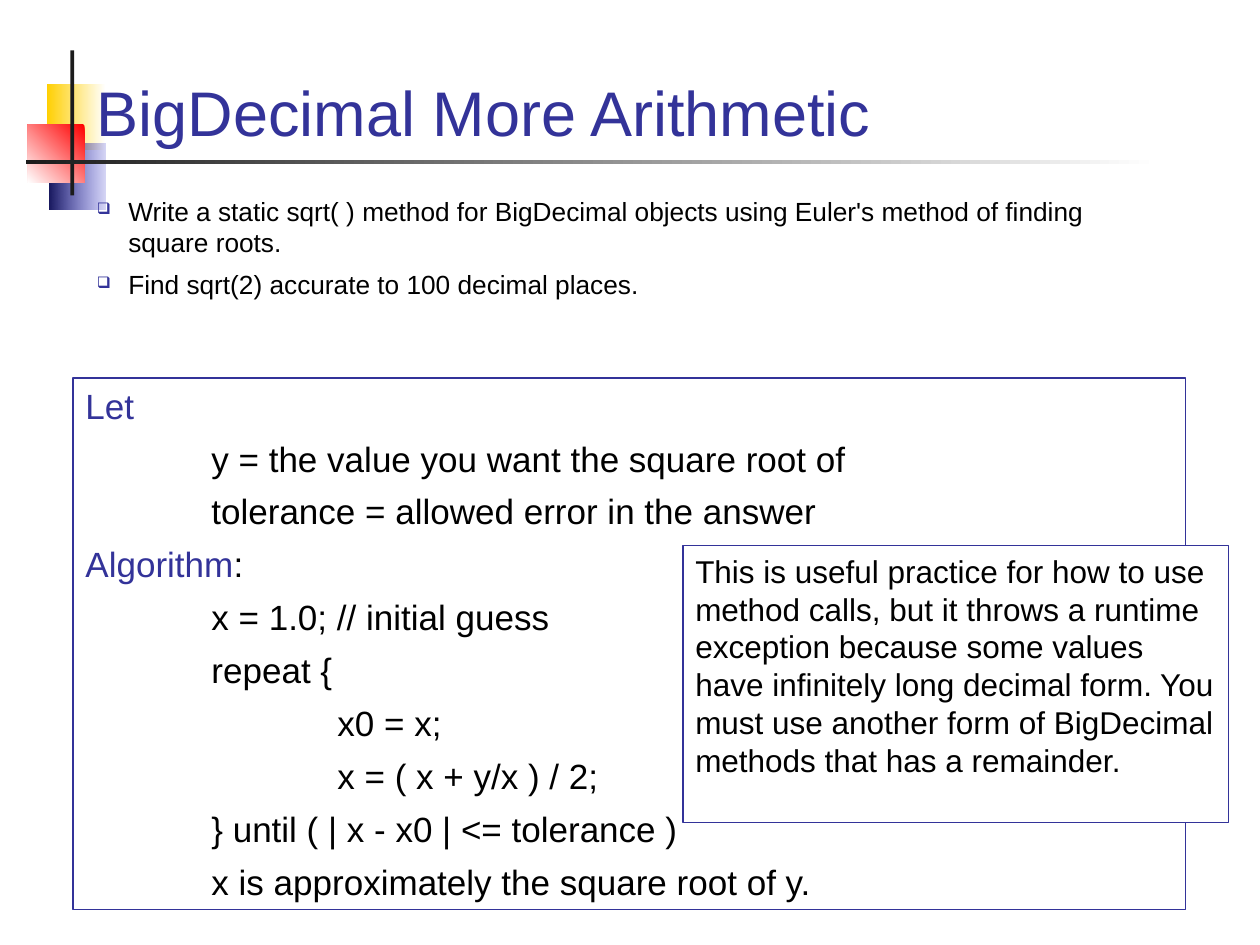
import pptx
import pptx.dml.color
import pptx.enum.shapes
import pptx.enum.text
import pptx.oxml
import pptx.oxml.ns
import pptx.util
from lxml import etree

Inches = pptx.util.Inches
Pt = pptx.util.Pt

COLORS = {
    "navy": "333399", "black": "000000", "white": "FFFFFF", "ink": "1C1C1C",
    "yellow": "FFCF01", "red": "FF0000", "blue": "3333CC", "midnight": "17175E",
}

DECORATIONS = [
    {"at": (0.37, 0.67, 0.47, 0.52), "stops": ("white", "yellow"), "angle": 180},
    {"at": (0.39, 1.14, 0.45, 0.52), "stops": ("blue", "midnight"), "angle": 180, "alpha": 20},
    {"at": (0.22, 0.99, 0.45, 0.46), "stops": ("red", "white"), "angle": 225},
    {"at": (0.56, 0.4, 0.03, 1.15), "fill": "ink"},
    {"at": (0.21, 1.27, 8.99, 0.03), "stops": ("white", "ink"), "angle": 180},
]

TITLE = [(0, [("BigDecimal More Arithmetic", "navy")])]
TASKS = [
    (0, [("Write a static sqrt( ) method for BigDecimal objects using Euler's method "
          "of finding square roots.", "black")]),
    (0, [("Find sqrt(2) accurate to 100 decimal places.", "black")]),
]
ALGORITHM = [
    (0, [("Let", "navy")]),
    (1, [("y = the value you want the square root of", "black")]),
    (1, [("tolerance = allowed error in the answer", "black")]),
    (0, [("Algorithm", "navy"), (":", "black")]),
    (1, [("x = 1.0; // initial guess", "black")]),
    (1, [("repeat {", "black")]),
    (2, [("x0 = x;", "black")]),
    (2, [("x = ( x + y/x ) / 2;", "black")]),
    (1, [("} until ( | x - x0 | <= tolerance )", "black")]),
    (1, [("x is approximately the square root of y.", "black")]),
]
REMARK = [
    (0, [("This is useful practice for how to use method calls, but it throws a runtime "
          "exception because some values have infinitely long decimal form. You must use "
          "another form of BigDecimal methods that has a remainder.", "black")]),
]

TEXT_BLOCKS = [
    {"at": (0.67, 0.28, 8.66, 0.95), "lines": TITLE, "size": 36, "anchor": "BOTTOM"},
    {"at": (0.67, 1.5, 8.66, 1), "lines": TASKS, "size": 15, "gap": 6, "bullet": "❑"},
    {"at": (0.58, 3, 8.83, 4.22), "lines": ALGORITHM, "size": 20, "gap": 6.2, "line": "navy"},
    {"at": (5.42, 4.33, 4.33, 2.2), "lines": REMARK, "size": 18, "line": "navy", "fill": "white"},
]

LINE_HEIGHT = 1.2
LEVEL_INDENT = 1
BULLET_INDENT = 0.25


def rgb(name):
    return pptx.dml.color.RGBColor.from_string(COLORS[name])


def add_rectangle(slide, block):
    shape = slide.shapes.add_shape(
        pptx.enum.shapes.MSO_SHAPE.RECTANGLE, *map(Inches, block["at"]))
    shape.shadow.inherit = False
    if "stops" in block:
        shape.fill.gradient()
        shape.fill.gradient_angle = block["angle"]
        for stop, name, position in zip(shape.fill.gradient_stops, block["stops"], (0, 1)):
            stop.color.rgb = rgb(name)
            stop.position = position
    elif "fill" in block:
        shape.fill.solid()
        shape.fill.fore_color.rgb = rgb(block["fill"])
    else:
        shape.fill.background()
    if "alpha" in block:
        color = shape.element.spPr.find(".//" + pptx.oxml.ns.qn("a:srgbClr"))
        etree.SubElement(color, pptx.oxml.ns.qn("a:alpha"), val=str(block["alpha"] * 1000))
    if "line" in block:
        shape.line.color.rgb = rgb(block["line"])
        shape.line.width = Pt(0.75)
    else:
        shape.line.fill.background()
    return shape


def set_indent(paragraph, level, bullet):
    properties = paragraph._p.get_or_add_pPr()
    left = level * LEVEL_INDENT + (BULLET_INDENT if bullet else 0)
    properties.set("marL", str(Inches(left)))
    if bullet:
        properties.set("indent", str(-Inches(BULLET_INDENT)))
        color = etree.SubElement(properties, pptx.oxml.ns.qn("a:buClr"))
        etree.SubElement(color, pptx.oxml.ns.qn("a:srgbClr"), val=COLORS["navy"])
        etree.SubElement(properties, pptx.oxml.ns.qn("a:buSzPct"), val="60000")
        etree.SubElement(properties, pptx.oxml.ns.qn("a:buChar"), char=bullet)


def write_text(frame, block):
    frame_format = {
        "word_wrap": True,
        "vertical_anchor": pptx.enum.text.MSO_ANCHOR[block.get("anchor", "TOP")],
        "margin_left": Inches(0.1), "margin_right": Inches(0.1),
        "margin_top": Inches(0.05), "margin_bottom": Inches(0.05),
    }
    for name, value in frame_format.items():
        setattr(frame, name, value)
    for index, (level, runs) in enumerate(block["lines"]):
        paragraph = frame.add_paragraph() if index else frame.paragraphs[0]
        set_indent(paragraph, level, block.get("bullet"))
        paragraph_format = {
            "alignment": pptx.enum.text.PP_ALIGN.LEFT,
            "line_spacing": Pt(block["size"] * LINE_HEIGHT),
            "space_before": Pt(block.get("gap", 0) if index else 0),
        }
        for name, value in paragraph_format.items():
            setattr(paragraph, name, value)
        for text, color in runs:
            run = paragraph.add_run()
            run.text = text
            for name, value in {"name": "Arial", "size": Pt(block["size"])}.items():
                setattr(run.font, name, value)
            run.font.color.rgb = rgb(color)


def main():
    presentation = pptx.Presentation()
    presentation.slide_width = Inches(10)
    presentation.slide_height = Inches(7.5)
    slide = presentation.slides.add_slide(presentation.slide_layouts[6])
    for decoration in DECORATIONS:
        add_rectangle(slide, decoration)
    for block in TEXT_BLOCKS:
        if "line" in block:
            shape = add_rectangle(slide, block)
        else:
            shape = slide.shapes.add_textbox(*map(Inches, block["at"]))
        write_text(shape.text_frame, block)
    presentation.save("out.pptx")


if __name__ == "__main__":
    main()
